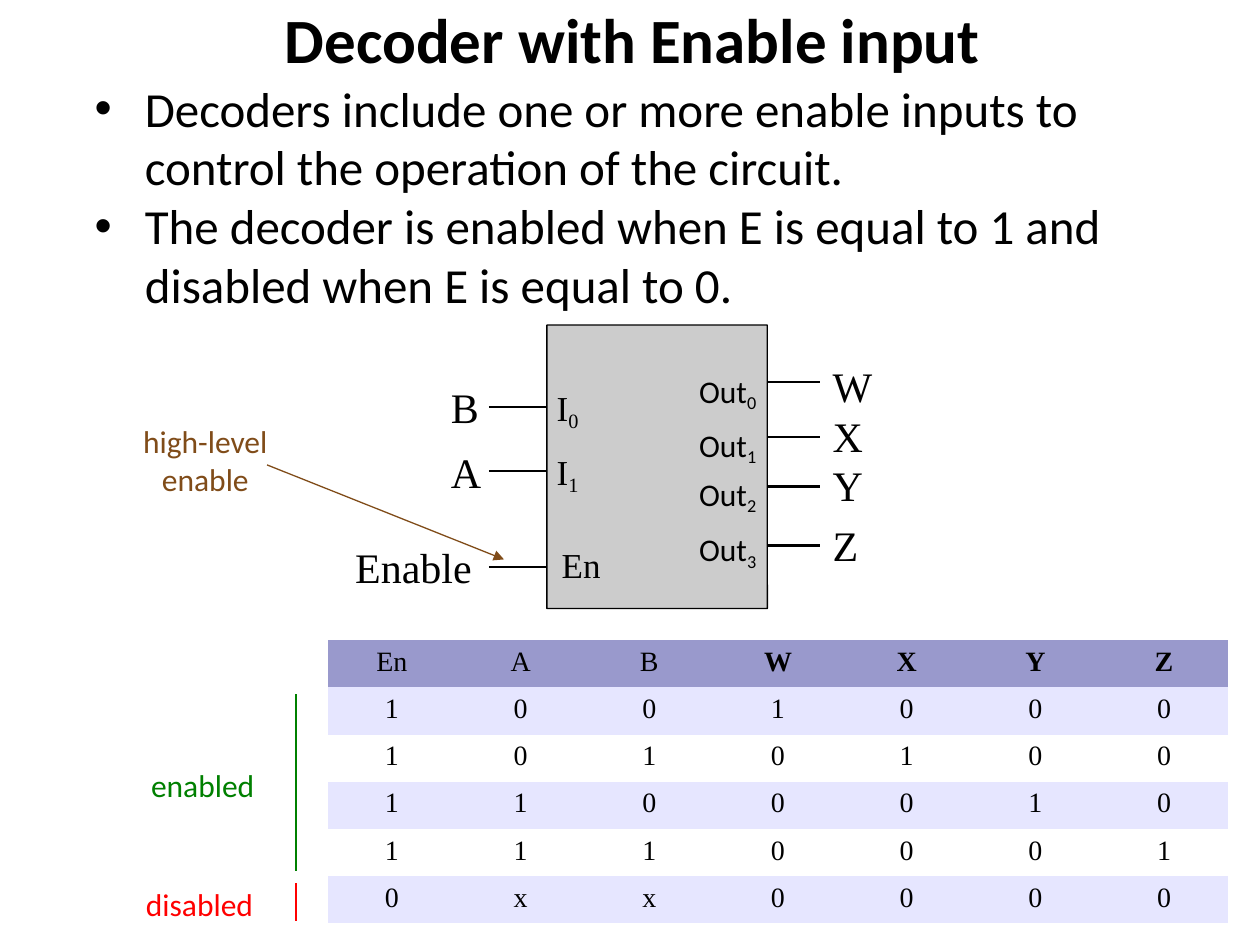
from dataclasses import dataclass

from lxml import etree
from pptx import Presentation, util as u
from pptx.dml.color import RGBColor
from pptx.enum import shapes, text
from pptx.oxml import ns


@dataclass(frozen=True)
class Theme:
    sans: str = "Calibri"
    serif: str = "Times New Roman"
    black: str = "000000"
    white: str = "FFFFFF"
    chip: str = "CCCCCC"
    header: str = "9999CC"
    band: str = "E6E6FF"
    green: str = "008000"
    red: str = "FF0000"
    brown: str = "804C19"
    title: int = 36
    body: int = 28
    signal: int = 24
    pin: int = 20
    note: int = 18
    cell: int = 16
    wire: float = 1.45
    thin: float = 0.75


THEME = Theme()
NO_GRID_STYLE = "{2D5ABB26-0587-4C30-8999-92F81FD0307C}"

TITLE = "Decoder with Enable input"
BULLETS = [
    "Decoders include one or more enable inputs to control the operation of the circuit.",
    "The decoder is enabled when E is equal to 1 and disabled when E is equal to 0.",
]
TRUTH_TABLE = ["En A B W X Y Z", "1 0 0 1 0 0 0", "1 0 1 0 1 0 0",
               "1 1 0 0 0 1 0", "1 1 1 0 0 0 1", "0 x x 0 0 0 0"]
OUTPUT_COLUMNS = "WXYZ"

# signal, its left and width, pin, subscript, pin left and width, wire height
INPUTS = [
    ("B", 3.48, 0.42, "I", "0", 4.32, 0.37, 3.23),
    ("A", 3.48, 0.44, "I", "1", 4.32, 0.37, 3.74),
    ("Enable", 2.72, 1.15, "En", "", 4.36, 0.51, 4.50),
]
# signal, its width, wire height, top of signal, top of pin
OUTPUTS = [
    ("W", 0.51, 3.03, 2.82, 2.88),
    ("X", 0.44, 3.47, 3.22, 3.31),
    ("Y", 0.44, 3.86, 3.61, 3.70),
    ("Z", 0.40, 4.33, 4.08, 4.14),
]
# label, its box, colour, top and bottom of its bracket
STATES = [
    ("enabled", (1.10, 6.01, 1.08, 0.38), THEME.green, 5.51, 6.91),
    ("disabled", (1.06, 6.95, 1.12, 0.38), THEME.red, 7.01, 7.31),
]
CHIP = (4.34, 2.58, 1.75, 2.25)
TABLE = (2.60, 5.08, 7.15, 2.25)
BRACKET_X = 2.35


def inches(*lengths):
    return [u.Inches(length) for length in lengths]


def set_margins(holder, left, top, right, bottom):
    (holder.margin_left, holder.margin_top,
     holder.margin_right, holder.margin_bottom) = inches(left, top, right, bottom)


def add_span(para, words, size, font=THEME.sans, color=THEME.black, bold=False, sub=False):
    span = para.add_run()
    span.text = words
    span.font.size, span.font.name, span.font.bold = u.Pt(size), font, bold
    span.font.color.rgb = RGBColor.from_string(color)
    if sub:
        span.font._element.set("baseline", "-20000")


def add_label(parent, lines, place, size, sub="", spacing=None, align=None, **style):
    """Put unwrapped lines of text in a box, with an optional subscript."""
    box = parent.shapes.add_textbox(*inches(*place))
    frame = box.text_frame
    frame.word_wrap = False
    set_margins(frame, 0.1, 0.06 if size == THEME.pin else 0.07, 0.1, 0.05)
    for index, line in enumerate(lines.split("\n")):
        para = frame.add_paragraph() if index else frame.paragraphs[0]
        para.alignment, para.line_spacing = align, spacing
        add_span(para, line, size, **style)
        if sub:
            add_span(para, sub, size, sub=True, **style)


def add_line(parent, start, end, color=THEME.black, width=THEME.wire, arrow=False):
    line = parent.shapes.add_connector(
        shapes.MSO_CONNECTOR.STRAIGHT, *inches(*start, *end))
    line.line.color.rgb = RGBColor.from_string(color)
    line.line.width = u.Pt(width)
    if arrow:
        etree.SubElement(line.line._get_or_add_ln(), ns.qn("a:tailEnd"), type="triangle")
    etree.SubElement(line._element.spPr, ns.qn("a:effectLst"))


def add_heading(page):
    title = page.shapes.title
    title.left, title.top, title.width, title.height = inches(0.67, 0, 8.7, 1.21)
    frame = title.text_frame
    frame.vertical_anchor = text.MSO_ANCHOR.TOP
    set_margins(frame, 0, 0, 0, 0)
    frame.paragraphs[0].alignment = text.PP_ALIGN.CENTER
    add_span(frame.paragraphs[0], TITLE, THEME.title, bold=True)


def add_bullets(page):
    frame = page.shapes.add_textbox(*inches(0.75, 0.62, 8.61, 1.88)).text_frame
    frame.word_wrap = True
    set_margins(frame, 0, 0, 0, 0)
    for index, bullet in enumerate(BULLETS):
        para = frame.add_paragraph() if index else frame.paragraphs[0]
        add_span(para, bullet, THEME.body)
        layout = para._p.get_or_add_pPr()
        layout.set("marL", str(u.Inches(0.4)))
        layout.set("indent", str(-u.Inches(0.4)))
        etree.SubElement(layout, ns.qn("a:buFont"), typeface="Arial")
        etree.SubElement(layout, ns.qn("a:buChar"), char="•")


def add_truth_table(page):
    rows = [row.split() for row in TRUTH_TABLE]
    table = page.shapes.add_table(len(rows), len(rows[0]), *inches(*TABLE)).table
    table._tbl.tblPr.find(ns.qn("a:tableStyleId")).text = NO_GRID_STYLE
    for r, row in enumerate(rows):
        fill = THEME.header if r == 0 else THEME.band if r % 2 else THEME.white
        for c, value in enumerate(row):
            cell = table.cell(r, c)
            cell.fill.solid()
            cell.fill.fore_color.rgb = RGBColor.from_string(fill)
            set_margins(cell, 0.1, 0.06, 0.1, 0.05)
            para = cell.text_frame.paragraphs[0]
            para.alignment, para.line_spacing = text.PP_ALIGN.CENTER, 0.95
            add_span(para, value, THEME.cell, THEME.serif, bold=value in OUTPUT_COLUMNS)


def add_decoder(page):
    group = page.shapes.add_group_shape()
    add_label(group, "high-level\nenable", (1, 3.28, 1.26, 0.66), THEME.note,
              color=THEME.brown, align=text.PP_ALIGN.CENTER)
    add_line(group, (2.12, 3.69), (4, 4.44), THEME.brown, THEME.thin, arrow=True)
    for *_, y in INPUTS:
        add_line(group, (3.88, y), (4.62, y))
    for _, _, y, _, _ in OUTPUTS:
        add_line(group, (5.76, y), (6.51, y))

    chip = group.shapes.add_shape(shapes.MSO_SHAPE.ROUNDED_RECTANGLE, *inches(*CHIP))
    chip.adjustments[0] = 0.001
    chip.shadow.inherit = False
    chip.fill.solid()
    chip.fill.fore_color.rgb = RGBColor.from_string(THEME.chip)
    chip.line.color.rgb = RGBColor.from_string(THEME.black)
    chip.line.width = u.Pt(THEME.thin)

    serif = {"font": THEME.serif, "spacing": 0.95}
    for signal, left, width, pin, sub, pin_left, pin_width, y in INPUTS:
        add_label(group, signal, (left, y - 0.24, width, 0.47), THEME.signal, **serif)
        add_label(group, pin, (pin_left, y - 0.22, pin_width, 0.44), THEME.pin,
                  sub=sub, **serif)
    for index, (signal, width, _, top, pin_top) in enumerate(OUTPUTS):
        add_label(group, signal, (6.51, top, width, 0.47), THEME.signal, **serif)
        add_label(group, "Out", (5.45, pin_top, 0.68, 0.41), THEME.note, sub=str(index))


def main():
    deck = Presentation()
    deck.slide_width, deck.slide_height = inches(10, 7.5)
    page = deck.slides.add_slide(deck.slide_layouts.get_by_name("Title Only"))
    add_heading(page)
    add_bullets(page)
    add_truth_table(page)
    for label, place, color, top, bottom in STATES:
        add_line(page, (BRACKET_X, top), (BRACKET_X, bottom), color)
        add_label(page, label, place, THEME.note, color=color)
    add_decoder(page)
    deck.save("out.pptx")


if __name__ == "__main__":
    main()
